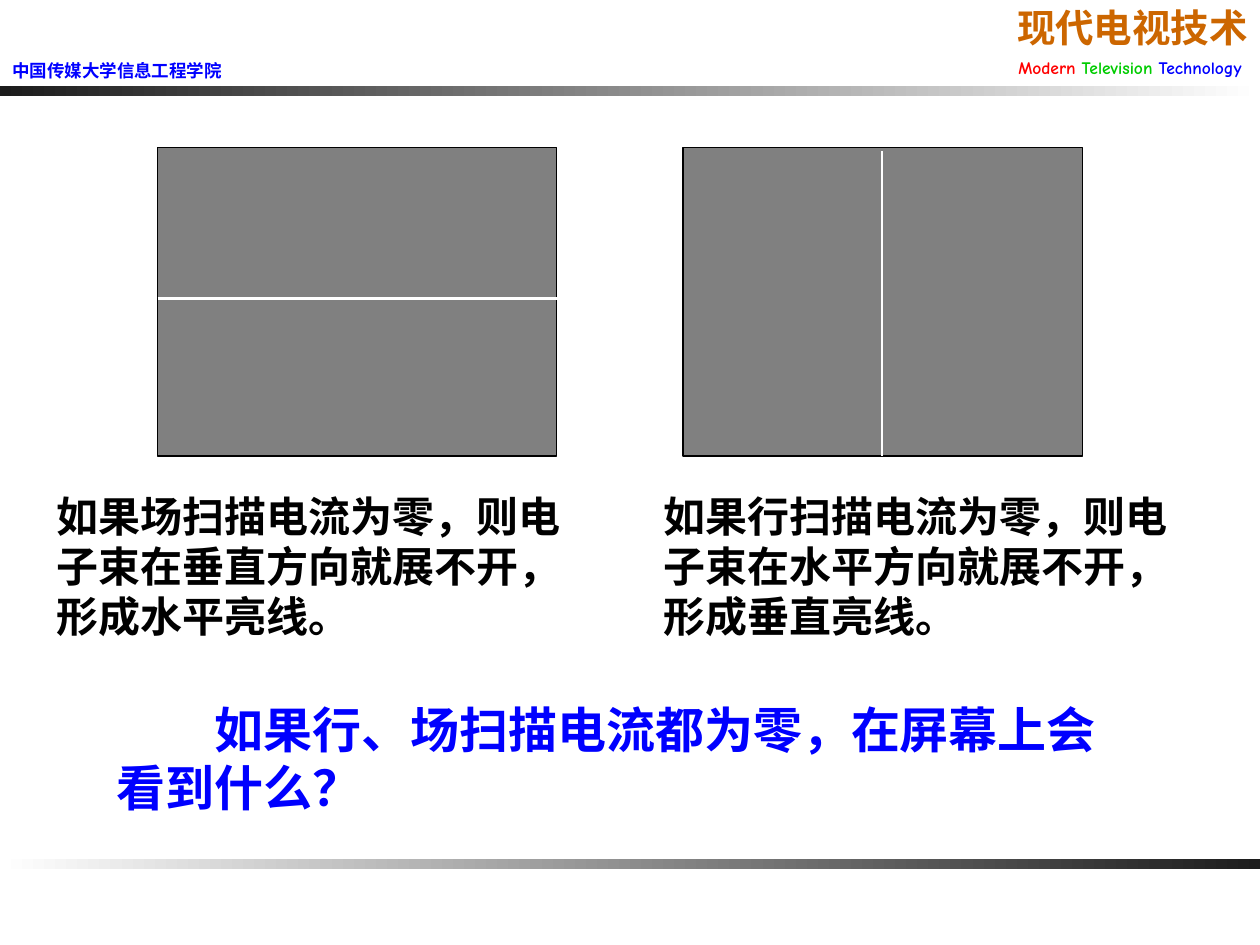
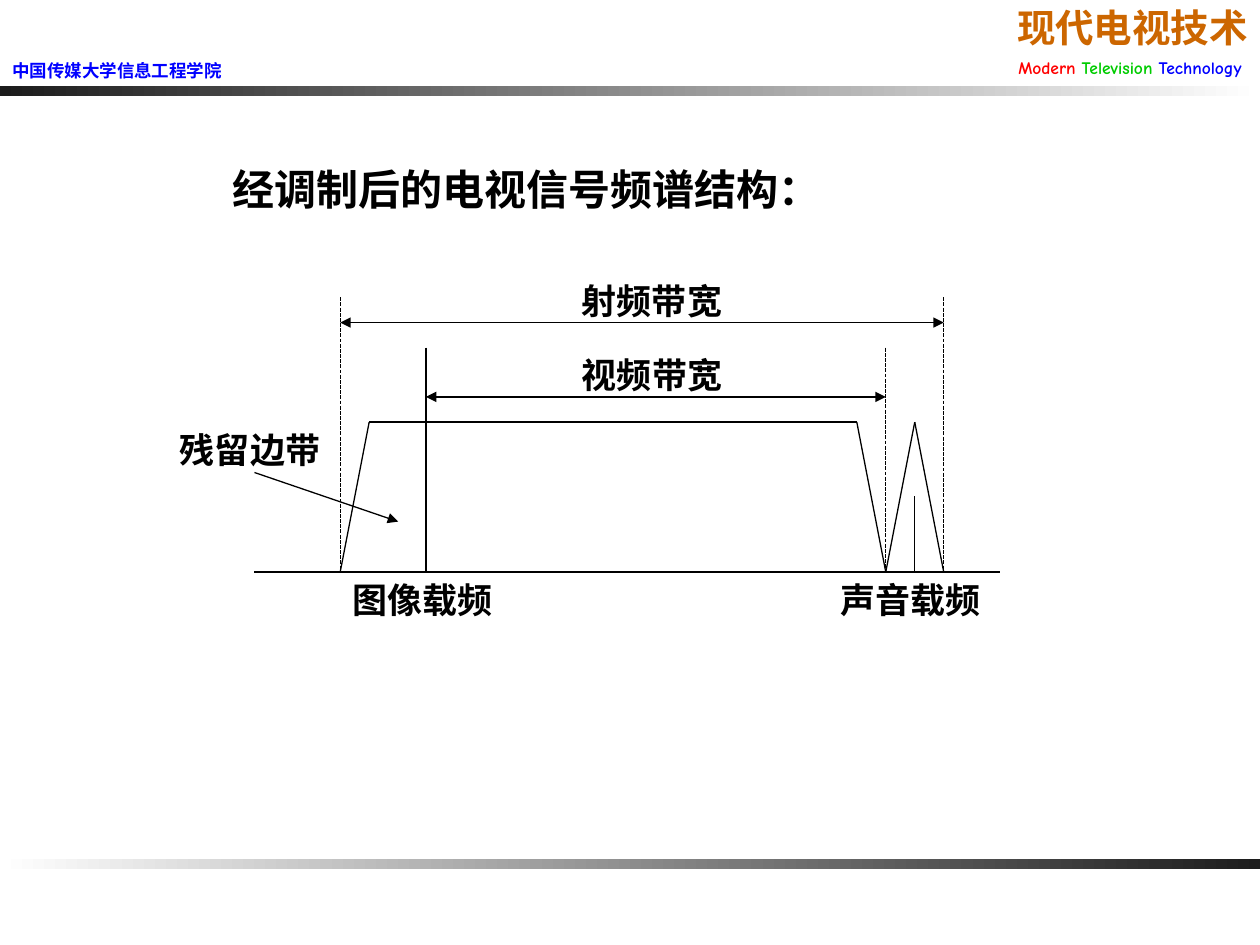
import pptx
import pptx.util
import pptx.dml.color
import pptx.enum.dml
import pptx.enum.shapes
import pptx.enum.text
import pptx.oxml.ns
import lxml.etree

Inches = pptx.util.Inches
Pt = pptx.util.Pt
qn = pptx.oxml.ns.qn
ALIGN = pptx.enum.text.PP_ALIGN
ANCHOR = pptx.enum.text.MSO_ANCHOR
RECTANGLE = pptx.enum.shapes.MSO_SHAPE.RECTANGLE
STRAIGHT = pptx.enum.shapes.MSO_CONNECTOR.STRAIGHT
DOTTED = pptx.enum.dml.MSO_LINE.SQUARE_DOT

COLORS = {
    "black": "000000", "white": "FFFFFF", "band": "1C1C1C", "screen": "808080",
    "orange": "CC6600", "red": "FF0000", "green": "00CC00", "blue": "0000FF",
}
RGB = {name: pptx.dml.color.RGBColor.from_string(value) for name, value in COLORS.items()}
SERIF = "Times New Roman"
COURSE = {"size": Pt(22), "bold": True, "name": SERIF}
SUBTITLE = {"size": Pt(10), "bold": True, "name": "Comic Neue"}
SPACER = {"size": Pt(14), "bold": False, "name": SERIF}
SCHOOL = {"size": Pt(10), "bold": True, "name": "TeX Gyre Adventor"}
CAPTION = {"size": Pt(24), "bold": True, "name": SERIF}
QUESTION = {"size": Pt(28), "bold": True, "name": SERIF}
HEADING = {"size": Pt(24), "bold": True, "name": "Noto Sans CJK SC"}
LABEL = {"size": Pt(20), "bold": True, "name": SERIF}


def add_text(page, left, top, width, height, paragraphs, align=ALIGN.LEFT, anchor=ANCHOR.TOP):
    box = page.shapes.add_textbox(Inches(left), Inches(top), Inches(width), Inches(height))
    frame = box.text_frame
    frame.word_wrap = True
    frame.vertical_anchor = anchor
    for index, spans in enumerate(paragraphs):
        para = frame.add_paragraph() if index else frame.paragraphs[0]
        para.alignment = align
        for text, style, color in spans:
            span = para.add_run()
            span.text = text
            for key, value in style.items():
                setattr(span.font, key, value)
            span.font.color.rgb = RGB[color]
    return box


def add_line(page, x1, y1, x2, y2, color="black", width=0.75, dash=None, arrows=()):
    line = page.shapes.add_connector(STRAIGHT, Inches(x1), Inches(y1), Inches(x2), Inches(y2))
    line.line.color.rgb = RGB[color]
    line.line.width = Pt(width)
    if dash:
        line.line.dash_style = dash
    for end in arrows:
        lxml.etree.SubElement(line.line._get_or_add_ln(), qn("a:" + end), type="triangle")
    lxml.etree.SubElement(line._element.spPr, qn("a:effectLst"))


deck = pptx.Presentation()
deck.slide_width = Inches(10)
deck.slide_height = Inches(7.5)
pages = [deck.slides.add_slide(deck.slide_layouts[6]) for _ in range(2)]

for page in pages:
    for top, ends in ((0.68, ("band", "white")), (6.82, ("white", "band"))):
        band = page.shapes.add_shape(RECTANGLE, 0, Inches(top), Inches(10), Inches(0.08))
        band.shadow.inherit = False
        band.line.fill.background()
        band.fill.gradient()
        band.fill.gradient_angle = 0
        for stop, color in zip(band.fill.gradient_stops, ends):
            stop.color.rgb = RGB[color]
    add_text(page, 6.89, 0.26, 3.11, 0.42, [
        [("现代电视技术", COURSE, "orange")],
        [("Modern ", SUBTITLE, "red"), ("Television ", SUBTITLE, "green"),
         ("Technology", SUBTITLE, "blue"), (" ", SPACER, "black")],
    ], ALIGN.RIGHT, ANCHOR.BOTTOM)
    add_text(page, 0, 0.43, 2.01, 0.27, [[("中国传媒大学信息工程学院", SCHOOL, "blue")]])

scan_page, spectrum_page = pages

for left in (1.25, 5.42):
    screen = scan_page.shapes.add_shape(RECTANGLE, Inches(left), Inches(1.17), Inches(3.17), Inches(2.45))
    screen.shadow.inherit = False
    screen.fill.solid()
    screen.fill.fore_color.rgb = RGB["screen"]
    screen.line.color.rgb = RGB["black"]
    screen.line.width = Pt(0.75)
add_line(scan_page, 1.25, 2.37, 4.42, 2.37, "white", 1.5)
add_line(scan_page, 7, 1.2, 7, 3.62, "white", 1.5)

for left, width, text in (
    (0.35, 4.31, "如果场扫描电流为零，则电子束在垂直方向就展不开，形成水平亮线。"),
    (5.17, 4.4, "如果行扫描电流为零，则电子束在水平方向就展不开，形成垂直亮线。"),
):
    add_text(scan_page, left, 3.84, width, 1.3, [[(text, CAPTION, "black")]])
question = add_text(scan_page, 0.83, 5.5, 8.26, 1.04, [
    [("如果行、场扫描电流都为零，在屏幕上会看到什么？", QUESTION, "blue")]])
question.text_frame.paragraphs[0]._p.get_or_add_pPr().set("indent", str(Pt(56)))

add_text(spectrum_page, 1.75, 1.25, 7.25, 0.5, [[("经调制后的电视信号频谱结构：", HEADING, "black")]])

base, peak = 4.54, 3.35
rf_left, video_left, video_right, sound, rf_right = 2.7, 3.38, 7.03, 7.26, 7.49
slope = 0.23

add_line(spectrum_page, 2.02, base, 7.94, base)
outline = [
    (rf_left, base), (rf_left + slope, peak), (video_right - slope, peak),
    (video_right, base), (sound, peak), (rf_right, base),
]
for start, end in zip(outline, outline[1:]):
    add_line(spectrum_page, *start, *end)
for x, top, dash in (
    (rf_left, 2.36, DOTTED), (video_left, 2.76, None), (video_right, 2.76, DOTTED),
    (sound, 3.94, None), (rf_right, 2.36, DOTTED),
):
    add_line(spectrum_page, x, top, x, base, dash=dash)
for left, right, y in ((rf_left, rf_right, 2.56), (video_left, video_right, 3.15)):
    add_line(spectrum_page, left, y, right, y, arrows=("headEnd", "tailEnd"))
add_line(spectrum_page, 2.02, 3.75, 3.16, 4.14, arrows=("tailEnd",))

for left, top, width, text in (
    (4.52, 2.17, 1.37, "射频带宽"),
    (4.52, 2.76, 1.59, "视频带宽"),
    (1.33, 3.35, 1.37, "残留边带"),
    (2.7, base, 1.59, "图像载频"),
    (6.57, base, 1.59, "声音载频"),
):
    add_text(spectrum_page, left, top, width, 0.59, [[(text, LABEL, "black")]], ALIGN.JUSTIFY)

deck.save("out.pptx")
